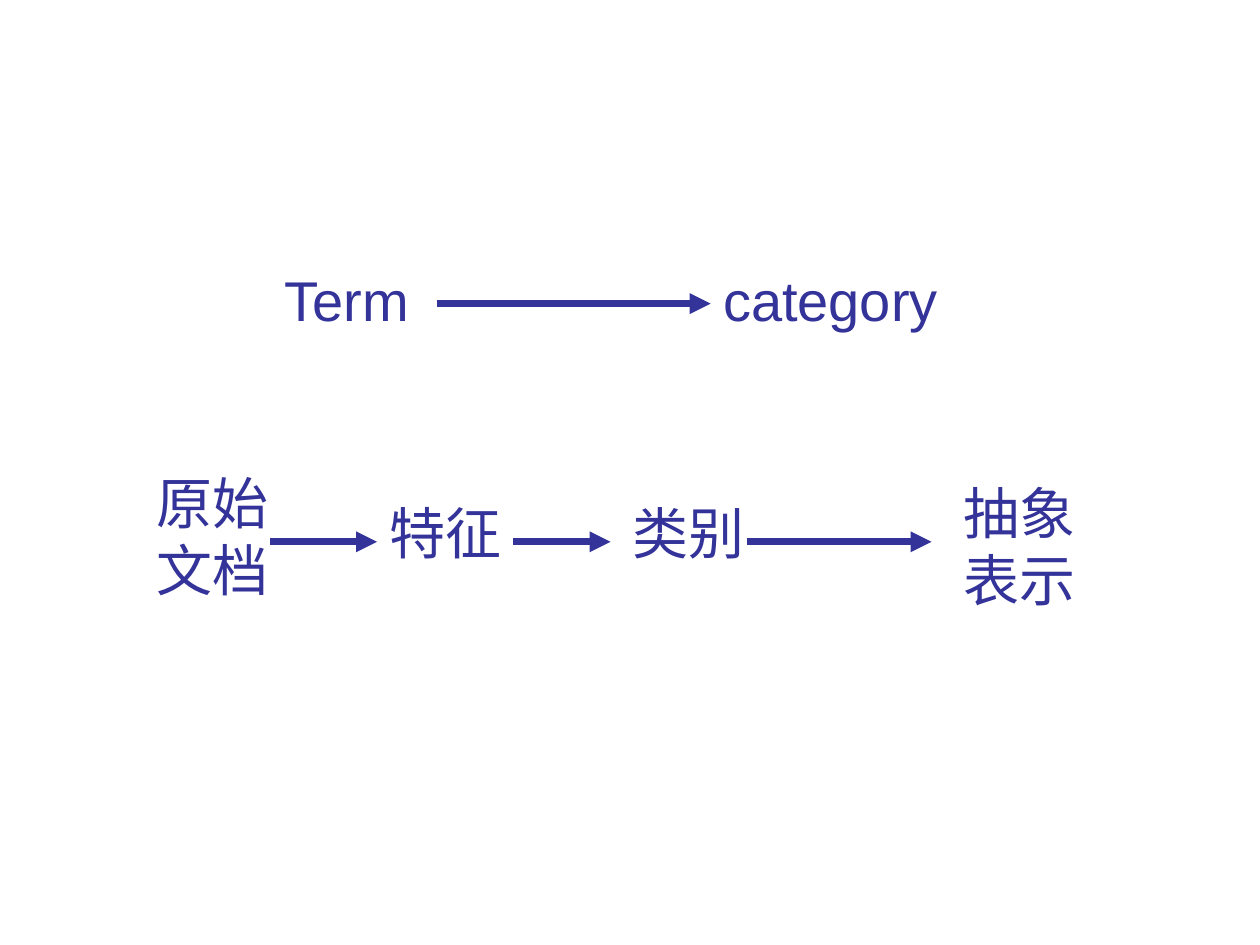
from pptx import Presentation
from pptx.dml.color import RGBColor
from pptx.enum.shapes import MSO_CONNECTOR
from pptx.enum.text import MSO_AUTO_SIZE
from pptx.oxml.ns import qn
from pptx.util import Inches, Pt
from lxml.etree import SubElement

COLORS = {"background": "FFFFFF", "ink": "333399"}
FONT = "Arial"


def add_label(page, text, left, top, width, height):
    box = page.shapes.add_textbox(*(Inches(n) for n in (left, top, width, height)))
    frame = box.text_frame
    frame.word_wrap = True
    frame.auto_size = MSO_AUTO_SIZE.SHAPE_TO_FIT_TEXT
    frame.text = text
    font = frame.paragraphs[0].runs[0].font
    font.name = FONT
    font.size = Pt(32)
    font.color.rgb = RGBColor.from_string(COLORS["ink"])


def add_arrow(page, start, end, level):
    arrow = page.shapes.add_connector(
        MSO_CONNECTOR.STRAIGHT, Inches(start), Inches(level), Inches(end), Inches(level)
    )
    arrow.line.width = Pt(4)
    arrow.line.color.rgb = RGBColor.from_string(COLORS["ink"])
    SubElement(arrow.line._get_or_add_ln(), qn("a:tailEnd"), type="triangle")
    SubElement(arrow._element.spPr, qn("a:effectLst"))


def add_flow(page, region, labels, arrows):
    left, top, width, height = region
    for text, across, down, label_width, label_height in labels:
        add_label(page, text, left + across * width, top + down * height,
                  label_width * width, label_height * height)
    for start, end in arrows:
        add_arrow(page, left + start * width, left + end * width, top + height / 2)


def build_deck():
    deck = Presentation()
    deck.slide_width, deck.slide_height = Inches(10), Inches(7.5)
    page = deck.slides.add_slide(deck.slide_layouts[6])
    fill = page.background.fill
    fill.solid()
    fill.fore_color.rgb = RGBColor.from_string(COLORS["background"])

    add_flow(
        page,
        (2.16, 2.06, 7.25, 0.7),
        [("Term", 0, 0, 0.21, 0.91), ("category", 0.48, 0, 0.52, 0.91)],
        [(0.18, 0.48)],
    )
    add_flow(
        page,
        (1.14, 3.67, 7.72, 1.26),
        [
            ("原始文档", 0, 0, 0.17, 0.93),
            ("特征", 0.24, 0.19, 0.17, 0.51),
            ("类别", 0.49, 0.19, 0.17, 0.51),
            ("抽象表示", 0.83, 0.06, 0.17, 0.93),
        ],
        [(0.13, 0.24), (0.38, 0.48), (0.62, 0.81)],
    )
    deck.save("out.pptx")


if __name__ == "__main__":
    build_deck()
